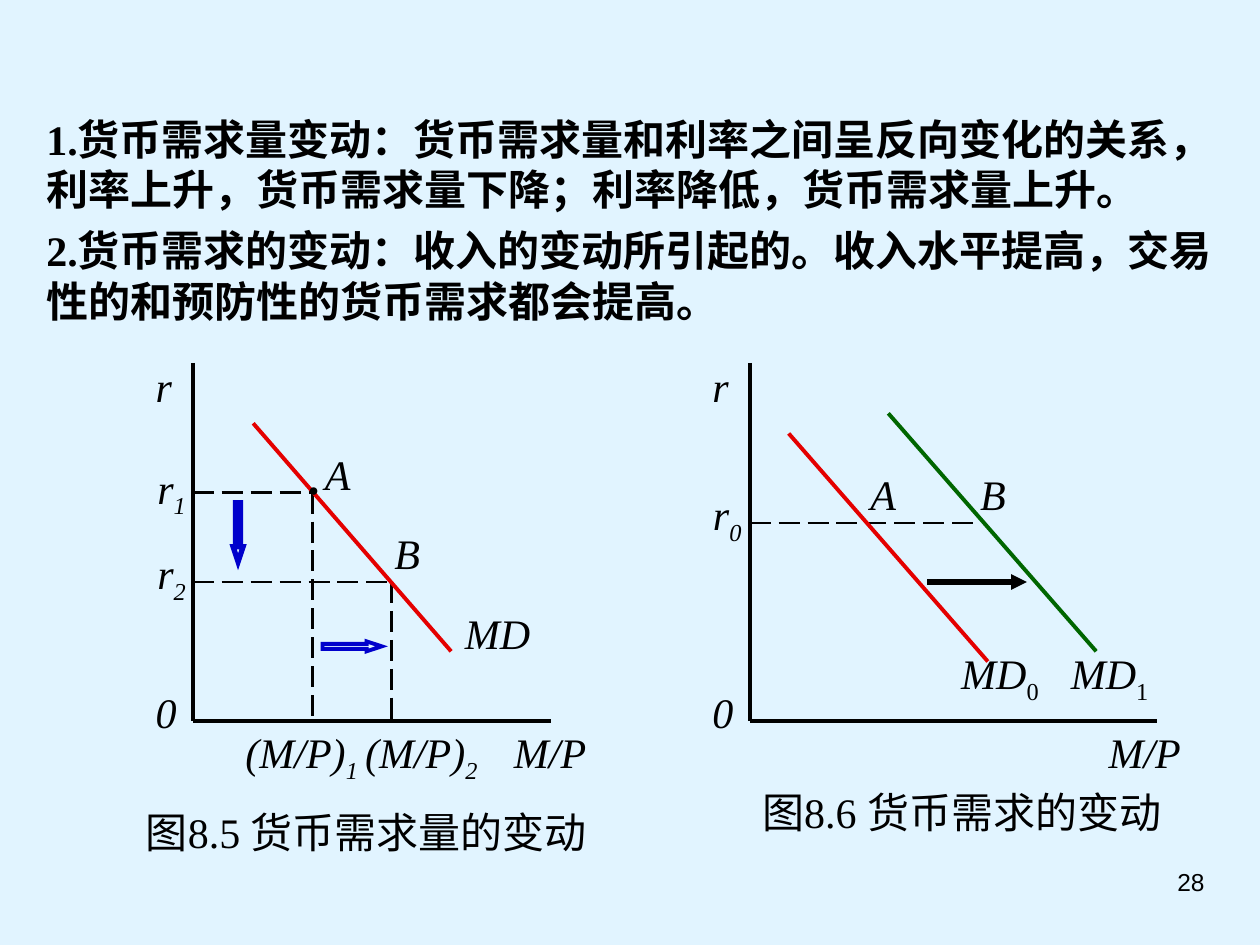
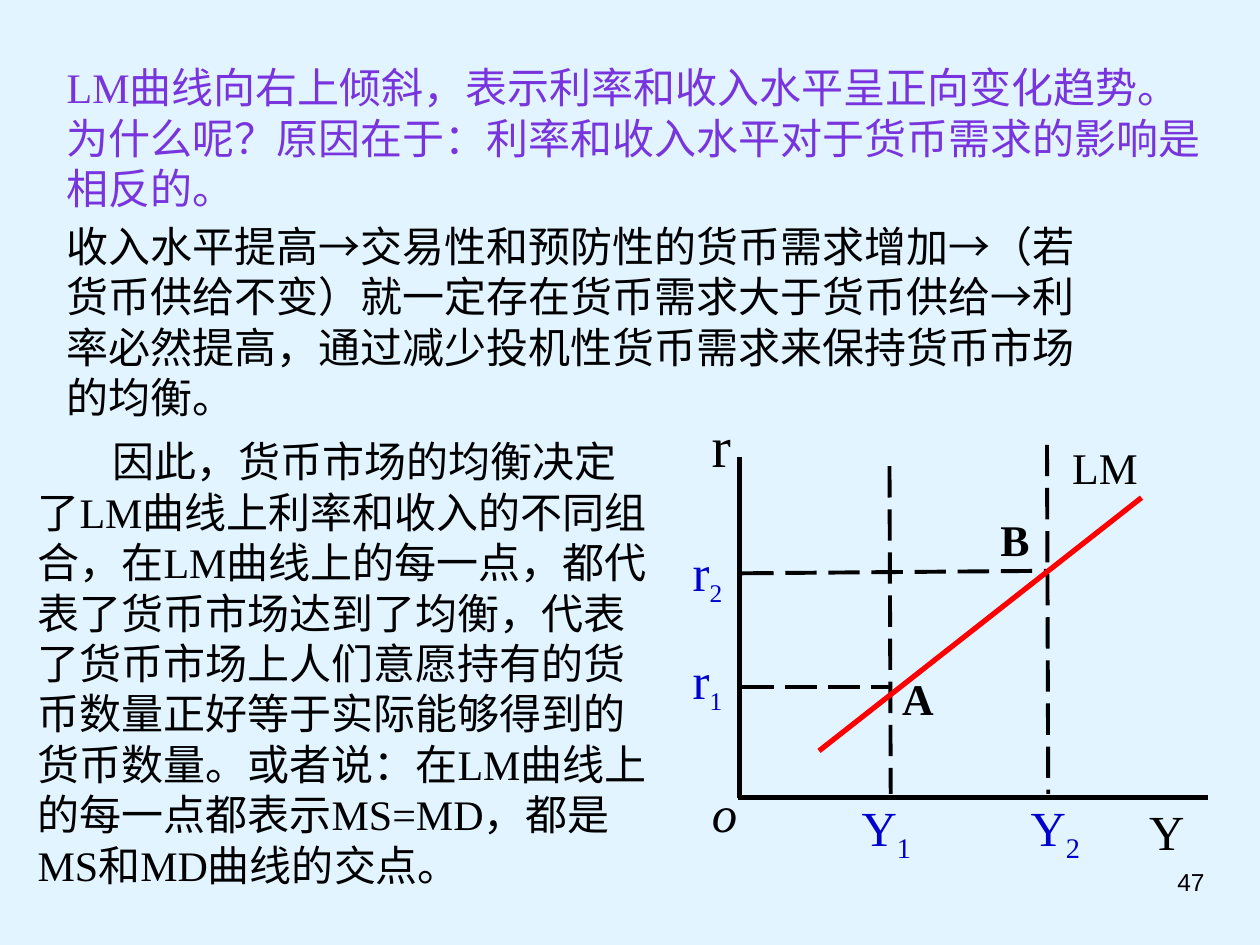
from lxml import etree
from pptx import Presentation
from pptx.dml.color import RGBColor
from pptx.enum import dml, shapes, text
from pptx.oxml import ns
from pptx.util import Pt

SKY = RGBColor(0xE1, 0xF4, 0xFF)
BLACK = RGBColor(0, 0, 0)
RED = RGBColor(0xE4, 0, 0)
BRIGHT_RED = RGBColor(0xFF, 0, 0)
GREEN = RGBColor(0, 0x66, 0)
BLUE = RGBColor(0, 0, 0xCC)
PURPLE = RGBColor(0x79, 0x35, 0xDD)
SERIF, SANS = "Times New Roman", "Arial"
CENTER, RIGHT = text.PP_ALIGN.CENTER, text.PP_ALIGN.RIGHT
TOP, MIDDLE = text.MSO_ANCHOR.TOP, text.MSO_ANCHOR.MIDDLE
LABEL_SLACK = 4  # spare width that keeps a label on one line


def add_text(slide, box, content, size=24, color=BLACK, font=SERIF, italic=None,
             bold=None, align=None, anchor=TOP, wrap=False, sub_size=None, sub_italic=None):
    """Add a text box; lines are paragraphs, and what follows "_" is a subscript."""
    x, y, width, height = box
    if not wrap:
        width += LABEL_SLACK
        if align == CENTER:
            x -= LABEL_SLACK / 2
    frame = slide.shapes.add_textbox(Pt(x), Pt(y), Pt(width), Pt(height)).text_frame
    frame.word_wrap = wrap
    frame.auto_size = text.MSO_AUTO_SIZE.NONE if wrap else text.MSO_AUTO_SIZE.SHAPE_TO_FIT_TEXT
    frame.vertical_anchor = anchor
    for number, line in enumerate(content.split("\n")):
        paragraph = frame.add_paragraph() if number else frame.paragraphs[0]
        if number:
            paragraph.space_before = Pt(6)
        if align:
            paragraph.alignment = align
        style = paragraph.font
        style.name, style.size, style.italic, style.bold = font, Pt(size), italic, bold
        style.color.rgb = color
        base, _, subscript = line.partition("_")
        paragraph.add_run().text = base
        if subscript:
            run = paragraph.add_run()
            run.text = subscript
            run.font.italic = sub_italic
            if sub_size:
                run.font.size = Pt(sub_size)
            run.font._element.set("baseline", "-25000")
    return frame.paragraphs[0]


def add_line(slide, ends, color=BLACK, width=2.25, dashed=False, arrow=False):
    line = slide.shapes.add_connector(shapes.MSO_CONNECTOR.STRAIGHT, *map(Pt, ends))
    line.line.color.rgb = color
    line.line.width = Pt(width)
    if dashed:
        line.line.dash_style = dml.MSO_LINE.LONG_DASH
    if arrow:
        etree.SubElement(line.line._get_or_add_ln(), ns.qn("a:tailEnd"), type="triangle")
    etree.SubElement(line._element.spPr, ns.qn("a:effectLst"))


prs = Presentation()
prs.slide_width, prs.slide_height = Pt(720), Pt(540)
background = prs.slide_master.background.fill
background.solid()
background.fore_color.rgb = SKY

demand, lm = [prs.slides.add_slide(prs.slide_layouts[6]) for _ in range(2)]
for slide, page in ((demand, "28"), (lm, "47")):
    add_text(slide, (515.5, 491.8, 180, 37.4), page, 14, font=SANS, align=RIGHT, wrap=True)

# Slide 1: movement along the demand curve and shift of the curve
add_text(demand, (19.4, 61.3, 686.2, 129),
         "1.货币需求量变动：货币需求量和利率之间呈反向变化的关系，利率上升，货币需求量下降；利率降低，货币需求量上升。\n"
         "2.货币需求的变动：收入的变动所引起的。收入水平提高，交易性的和预防性的货币需求都会提高。",
         bold=True, wrap=True)

AXIS_TOP, AXIS_BASE = 207.4, 411.8
LEFT_AXIS, RIGHT_AXIS = 110.2, 428.4
for axis, axis_end, quantity_x in ((LEFT_AXIS, 314.6, 286.6), (RIGHT_AXIS, 661, 626.4)):
    add_line(demand, (axis, AXIS_TOP, axis, AXIS_BASE))
    add_line(demand, (axis, AXIS_BASE, axis_end, AXIS_BASE))
    add_text(demand, (axis - 28.4, 202.4, 23.8, 36), "r", italic=True)
    add_text(demand, (axis - 28.4, 388.8, 25.9, 36), "0", italic=True)
    add_text(demand, (quantity_x, AXIS_BASE, 55.4, 36), "M/P", italic=True)

for x, rate_y in ((178.6, 281.5), (223.9, 332.6)):
    add_line(demand, (LEFT_AXIS, rate_y, x, rate_y), width=1.5, dashed=True)
    add_line(demand, (x, rate_y, x, AXIS_BASE), width=1.5, dashed=True)
add_line(demand, (RIGHT_AXIS, 298.8, 558.7, 298.8), width=1.5, dashed=True)

for curve, color in (((144.7, 241.9, 257.8, 372.2), RED),
                     ((450.7, 247.7, 564.5, 378), RED),
                     ((507.6, 236.2, 626.4, 372.2), GREEN)):
    add_line(demand, curve, color)
add_line(demand, (529.9, 332.6, 586.8, 332.6), width=3, arrow=True)

for label, x, y, width in (("A", 178.6, 252.7, 28.8), ("B", 218.2, 298.1, 28.8),
                           ("A", 490.3, 264.2, 28.8), ("B", 553, 264.2, 28.8),
                           ("MD", 258.5, 343.4, 51.8),
                           ("r_1", 82.8, 260.6, 30.2), ("r_2", 82.8, 309.6, 30.2),
                           ("r_0", 400.3, 275.8, 30.2),
                           ("(M/P)_1", 133.2, AXIS_BASE, 78.5),
                           ("(M/P)_2", 201.6, AXIS_BASE, 78.5)):
    add_text(demand, (x, y, width, 40.3 if "_" in label else 36), label, italic=True)
for label, x in (("MD_0", 542.2), ("MD_1", 604.8)):
    add_text(demand, (x, 366.5, 58.3, 40.3), label, italic=True, sub_italic=False)
add_text(demand, (169.2, 270, 20.2, 19.4), "●", 10, font=SANS)
add_text(demand, (76.3, 457.2, 277.9, 36), "图8.5 货币需求量的变动")
add_text(demand, (428.4, 445.7, 253.4, 36), "图8.6 货币需求的变动")

for preset, box, outline in (
        (shapes.MSO_SHAPE.DOWN_ARROW, (133.2, 287.3, 5.7, 33.8), 3),
        (shapes.MSO_SHAPE.RIGHT_ARROW, (184.3, 366.5, 33.8, 5.7), 2.25)):
    change = demand.shapes.add_shape(preset, *map(Pt, box))
    change.adjustments[0], change.adjustments[1] = 0.5, 1.51
    change.shadow.inherit = False
    change.fill.solid()
    change.fill.fore_color.rgb = SKY
    change.line.color.rgb = BLUE
    change.line.width = Pt(outline)
    etree.SubElement(change.line._get_or_add_ln(), ns.qn("a:miter"), lim="800000")

# Slide 2: the LM curve
add_line(lm, (422.6, 261.4, 422.6, 455.8), width=3)
add_line(lm, (421.6, 455.8, 690.5, 455.8), width=3)
for guide in ((508.3, 266.4, 509, 453.6), (598.3, 254.2, 599, 453.6),
              (424.1, 327.6, 597.6, 326.2), (424.1, 392.4, 508.3, 392.4)):
    add_line(lm, guide, dashed=True)
add_line(lm, (468, 429.1, 652.3, 284.4), BRIGHT_RED, 3)

for label, box, size, color, sub_size, italic, bold in (
        ("Y", (649.4, 454.3, 34.6, 41), 28, BLACK, None, None, None),
        ("r", (399.6, 230.4, 25.2, 46.8), 33, BLACK, None, None, None),
        ("o", (399.6, 442.8, 28.8, 42.5), 29, BLACK, None, True, None),
        ("Y_1", (485.3, 452.2, 42.5, 45.4), 28, BLUE, None, None, None),
        ("Y_2", (581.8, 452.2, 42.5, 45.4), 28, BLUE, None, None, None),
        ("r_2", (388.8, 305.3, 31, 45.4), 29, BLUE, 25, None, None),
        ("r_1", (388.8, 367.2, 31, 45.4), 29, BLUE, 25, None, None),
        ("A", (508.3, 380.2, 32.4, 37.4), 25, BLACK, None, None, True),
        ("B", (564.5, 289.4, 31, 37.4), 25, BLACK, None, None, True),
        ("LM", (605.5, 248.4, 51.8, 37.4), 25, BLACK, None, None, None)):
    add_text(lm, box, label, size, color, italic=italic, bold=bold, align=CENTER,
             anchor=MIDDLE, sub_size=sub_size)

add_text(lm, (31, 31.7, 668.9, 93.6),
         "LM曲线向右上倾斜，表示利率和收入水平呈正向变化趋势。为什么呢？原因在于：利率和收入水平对于货币需求的影响是相反的。",
         color=PURPLE, wrap=True)
income_effect = add_text(
    lm, (31, 122.4, 612.7, 122.4),
    "收入水平提高→交易性和预防性的货币需求增加→（若货币供给不变）就一定存在货币需求大于货币供给",
    wrap=True)
rate_rise = income_effect.add_run()
rate_rise.text = "→利率必然"
rate_rise.font.name = SANS
income_effect.add_run().text = "提高，通过减少投机性货币需求来保持货币市场的均衡。"
conclusion = add_text(
    lm, (14.4, 245.5, 368.6, 266.4),
    "因此，货币市场的均衡决定了LM曲线上利率和收入的不同组合，在LM曲线上的每一点，都代表了货币市场达到了均衡，"
    "代表了货币市场上人们意愿持有的货币数量正好等于实际能够得到的货币数量。"
    "或者说：在LM曲线上的每一点都表示MS=MD，都是MS和MD曲线的交点。",
    wrap=True)
conclusion._p.get_or_add_pPr().set("indent", str(Pt(43)))

prs.save("out.pptx")
